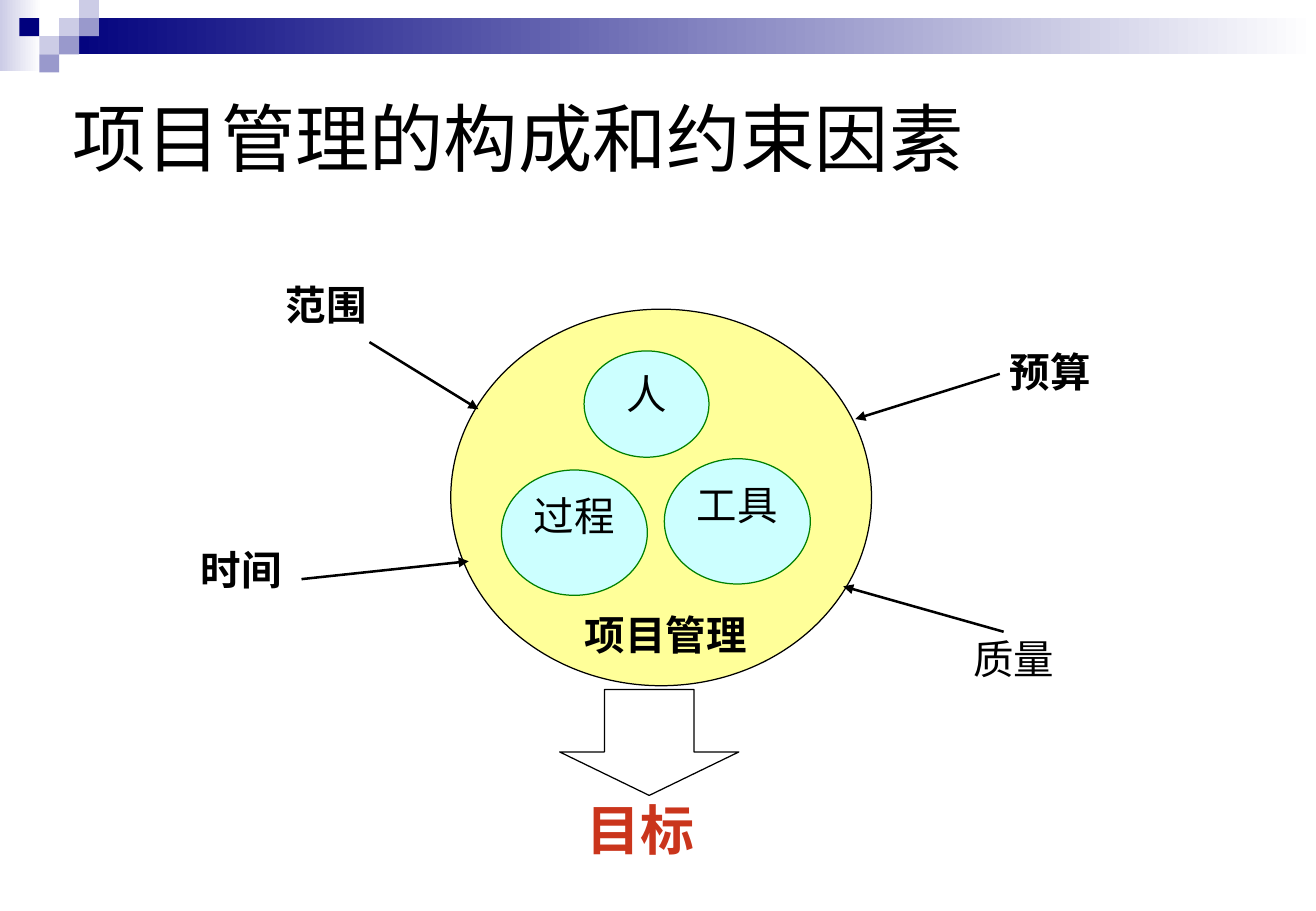
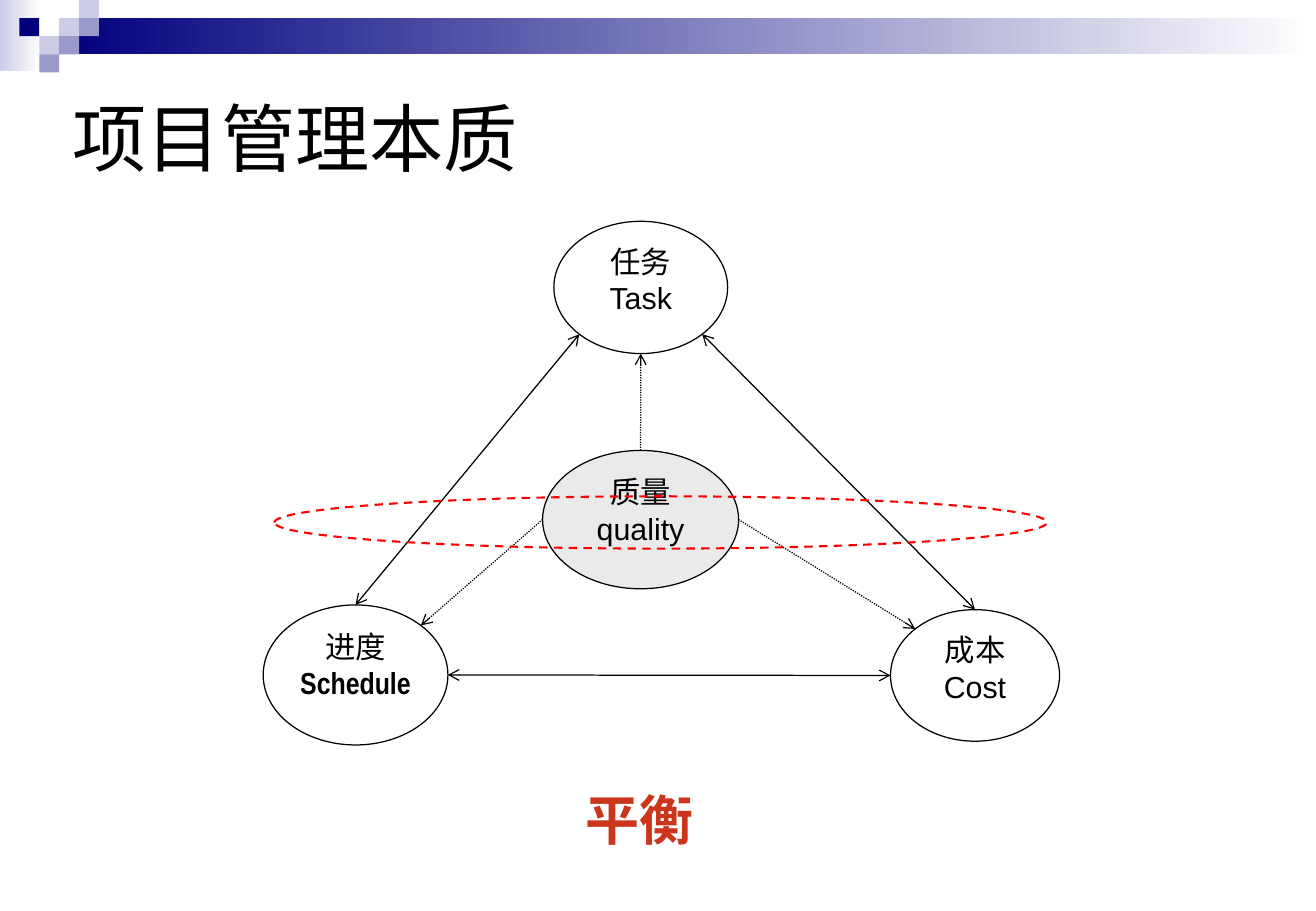
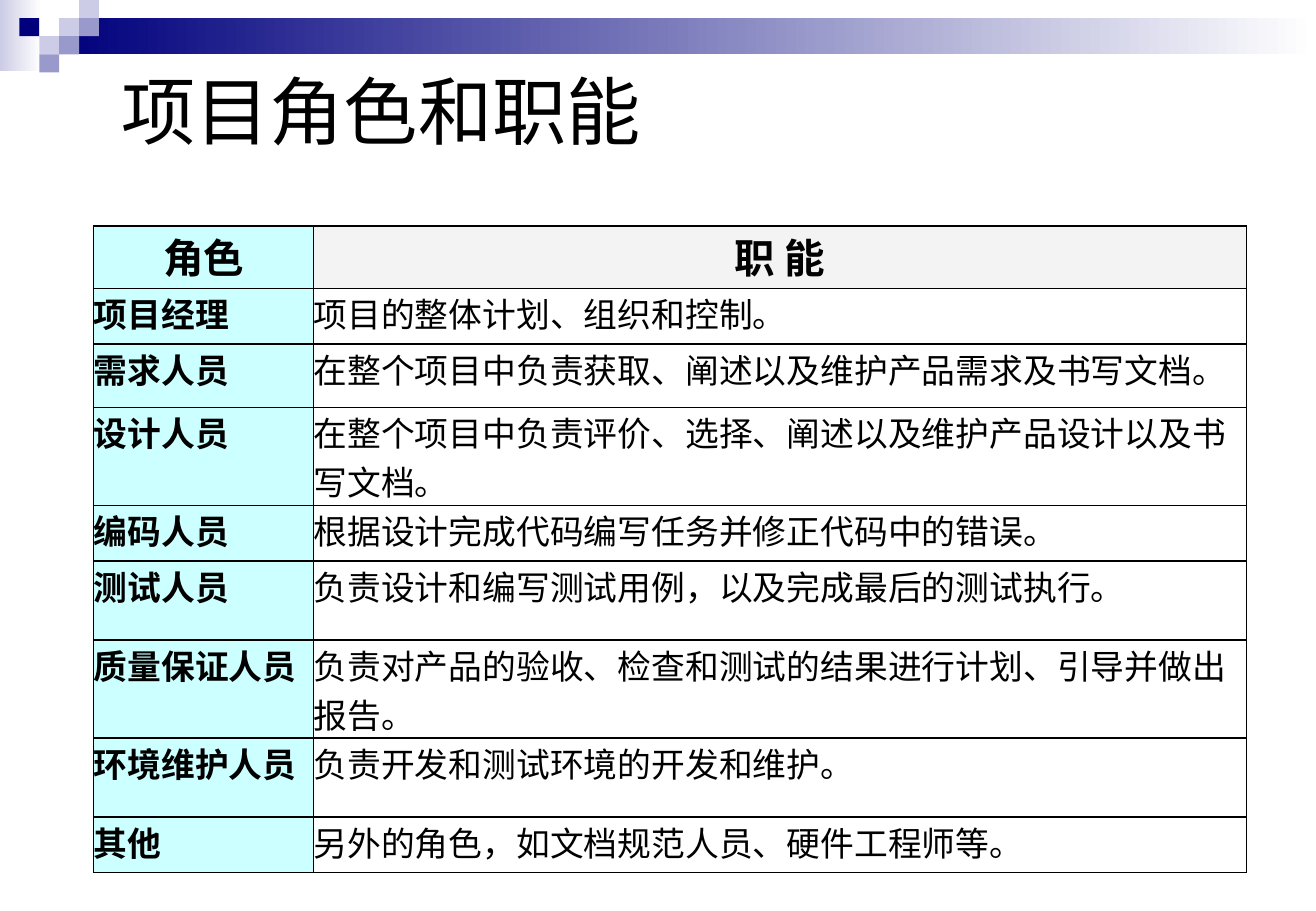
import math
from dataclasses import dataclass
from typing import Any, NamedTuple, Optional

import lxml.etree
import pptx
import pptx.dml.color
import pptx.enum.dml
import pptx.enum.shapes
import pptx.enum.text
import pptx.oxml.ns
import pptx.util

Pt = pptx.util.Pt
qn = pptx.oxml.ns.qn
ShapeKind = pptx.enum.shapes.MSO_SHAPE
Dash = pptx.enum.dml.MSO_LINE
Align = pptx.enum.text.PP_ALIGN
Anchor = pptx.enum.text.MSO_ANCHOR

COLOURS = {
    "black": "000000",
    "white": "FFFFFF",
    "navy": "00007D",
    "periwinkle": "9999CC",
    "lavender": "CCCCE6",
    "yellow": "FFFF99",
    "aqua": "CCFFFF",
    "green": "008000",
    "grey": "EAEAEA",
    "header grey": "F3F3F3",
    "red": "FF0000",
    "brick": "CA351C",
}
SERIF = "Times New Roman"
SANS = "Arial"
NARROW = "Arial Narrow"
CHINESE = "Noto Sans CJK JP"
SLIDE_WIDTH, SLIDE_HEIGHT = 780, 540
TILE_WIDTH, TILE_HEIGHT, TILE_LEFT = 11.8, 10.75, 11.5
LABEL_INSETS = (1.5, 3.6, 1.5, 3.6)


class Box(NamedTuple):
    left: float
    top: float
    width: float
    height: float


class Point(NamedTuple):
    x: float
    y: float


class Run(NamedTuple):
    text: str
    font: str = SERIF
    bold: bool = False


class Tile(NamedTuple):
    column: int
    row: int
    colour: str


class Label(NamedTuple):
    text: str
    box: Box
    bold: bool = True
    size: float = 24
    colour: str = "black"


@dataclass(frozen=True)
class Ellipse:
    box: Box
    fill: Optional[str]
    line: str = "black"
    width: float = 0.75
    dash: Any = None
    paragraphs: tuple[tuple[Run, ...], ...] = ()
    size: float = 18
    insets: tuple[float, float, float, float] = (1.5, 1.5, 1.5, 1.5)

    def rim(self, degrees: float) -> Point:
        """Point on the outline, clockwise from the right."""
        angle = math.radians(degrees)
        box = self.box
        return Point(
            box.left + box.width / 2 * (1 + math.cos(angle)),
            box.top + box.height / 2 * (1 + math.sin(angle)),
        )


@dataclass(frozen=True)
class Arrow:
    start: Point
    end: Point
    width: float = 0.75
    head: Optional[str] = None
    tail: str = "arrow"
    dash: Any = None


class Role(NamedTuple):
    name: str
    duty: str
    height: float


TILES = (
    Tile(2, 1, "lavender"),
    Tile(3, 0, "lavender"),
    Tile(3, 1, "periwinkle"),
    Tile(1, 2, "lavender"),
    Tile(0, 1, "navy"),
    Tile(2, 2, "periwinkle"),
    Tile(1, 3, "periwinkle"),
)

ROLES = (
    Role("项目经理", "项目的整体计划、组织和控制。", 33),
    Role("需求人员", "在整个项目中负责获取、阐述以及维护产品需求及书写文档。", 37.6),
    Role("设计人员", "在整个项目中负责评价、选择、阐述以及维护产品设计以及书写文档。", 58.1),
    Role("编码人员", "根据设计完成代码编写任务并修正代码中的错误。", 33),
    Role("测试人员", "负责设计和编写测试用例，以及完成最后的测试执行。", 46.8),
    Role("质量保证人员", "负责对产品的验收、检查和测试的结果进行计划、引导并做出报告。", 58.1),
    Role("环境维护人员", "负责开发和测试环境的开发和维护。", 46.8),
    Role("其他", "另外的角色，如文档规范人员、硬件工程师等。", 33),
)


def rgb(name: str) -> pptx.dml.color.RGBColor:
    return pptx.dml.color.RGBColor.from_string(COLOURS[name])


def points(values: tuple[float, ...]) -> list[pptx.util.Length]:
    return [Pt(value) for value in values]


def write_text(
    frame: Any,
    paragraphs: tuple[tuple[Run, ...], ...],
    *,
    size: float,
    colour: str = "black",
    align: Any = Align.CENTER,
    anchor: Any = Anchor.TOP,
    insets: Optional[tuple[float, float, float, float]] = None,
    wrap: bool = True,
) -> None:
    frame.word_wrap = wrap
    frame.vertical_anchor = anchor
    if insets is not None:
        (frame.margin_left, frame.margin_top,
         frame.margin_right, frame.margin_bottom) = points(insets)
    for index, runs in enumerate(paragraphs):
        paragraph = frame.add_paragraph() if index else frame.paragraphs[0]
        paragraph.alignment = align
        for source in runs:
            run = paragraph.add_run()
            run.text = source.text
            run.font.name = source.font
            run.font.size = Pt(size)
            run.font.bold = source.bold
            run.font.color.rgb = rgb(colour)
            properties = run._r.get_or_add_rPr()
            lxml.etree.SubElement(properties, qn("a:ea"), typeface=CHINESE)


def add_text(slide: Any, box: Box, run: Run, **style: Any) -> None:
    text_box = slide.shapes.add_textbox(*points(box))
    write_text(text_box.text_frame, ((run,),), **style)


def add_shape(
    slide: Any,
    kind: Any,
    box: Box,
    fill: Optional[str],
    line: Optional[str] = None,
    width: float = 0.75,
    fade: bool = False,
) -> Any:
    """Preset shape, plain or fading to white towards the right."""
    shape = slide.shapes.add_shape(kind, *points(box))
    shape.shadow.inherit = False
    if fill is None:
        shape.fill.background()
    elif fade:
        shape.fill.gradient()
        shape.fill.gradient_angle = 0
        for stop, colour in zip(shape.fill.gradient_stops, (fill, "white")):
            stop.color.rgb = rgb(colour)
    else:
        shape.fill.solid()
        shape.fill.fore_color.rgb = rgb(fill)
    if line is None:
        shape.line.fill.background()
    else:
        shape.line.color.rgb = rgb(line)
        shape.line.width = Pt(width)
    return shape


def add_ellipse(slide: Any, ellipse: Ellipse) -> None:
    shape = add_shape(
        slide, ShapeKind.OVAL, ellipse.box, ellipse.fill, ellipse.line, ellipse.width
    )
    if ellipse.dash is not None:
        shape.line.dash_style = ellipse.dash
    if ellipse.paragraphs:
        write_text(shape.text_frame, ellipse.paragraphs,
                   size=ellipse.size, insets=ellipse.insets)


def add_arrow(slide: Any, arrow: Arrow) -> None:
    connector = slide.shapes.add_connector(
        pptx.enum.shapes.MSO_CONNECTOR.STRAIGHT, *points(arrow.start + arrow.end)
    )
    connector.line.color.rgb = rgb("black")
    connector.line.width = Pt(arrow.width)
    if arrow.dash is not None:
        connector.line.dash_style = arrow.dash
    line = connector.line._get_or_add_ln()
    if arrow.head:
        lxml.etree.SubElement(line, qn("a:headEnd"), type=arrow.head)
    lxml.etree.SubElement(line, qn("a:tailEnd"), type=arrow.tail)
    lxml.etree.SubElement(connector._element.spPr, qn("a:effectLst"))


def add_label(slide: Any, label: Label) -> None:
    add_text(slide, label.box, Run(label.text, bold=label.bold),
             size=label.size, colour=label.colour, insets=LABEL_INSETS)


def add_slide(
    presentation: Any, title: str, title_box: Box = Box(36, 36, 702, 90)
) -> Any:
    """Blank slide with the shared band, tiles and title."""
    slide = presentation.slides.add_slide(presentation.slide_layouts[6])
    band_left = TILE_LEFT + 2 * TILE_WIDTH
    band = Box(band_left, TILE_HEIGHT, SLIDE_WIDTH - band_left, 2 * TILE_HEIGHT)
    add_shape(slide, ShapeKind.RECTANGLE, Box(0, 0, 24.5, 42), "lavender", fade=True)
    add_shape(slide, ShapeKind.RECTANGLE, band, "navy", fade=True)
    for tile in TILES:
        box = Box(TILE_LEFT + tile.column * TILE_WIDTH, tile.row * TILE_HEIGHT,
                  TILE_WIDTH, TILE_HEIGHT)
        add_shape(slide, ShapeKind.RECTANGLE, box, tile.colour)
    add_text(slide, title_box, Run(title, CHINESE), size=44, align=Align.LEFT,
             anchor=Anchor.MIDDLE, insets=(7.2, 3.6, 7.2, 3.6))
    return slide


def add_constraints_slide(presentation: Any) -> None:
    slide = add_slide(presentation, "项目管理的构成和约束因素")
    add_ellipse(slide, Ellipse(Box(267.2, 183.3, 249.4, 223.2), "yellow"))
    parts = (
        ("人", Box(346.2, 208, 74, 63)),
        ("过程", Box(297.2, 278.6, 86.5, 74.3)),
        ("工具", Box(393.8, 271.9, 86.5, 74.3)),
    )
    for text, box in parts:
        add_ellipse(slide, Ellipse(box, "aqua", "green", paragraphs=((Run(text),),),
                                   size=24, insets=(2.2, 1.5, 2.2, 1.5)))
    forces = (
        (Point(219, 202.8), Point(283.6, 242.6)),
        (Point(178.7, 343.3), Point(277.8, 332.7)),
        (Point(592.6, 221.6), Point(507, 248.4)),
        (Point(594.9, 374.5), Point(499.8, 347.6)),
    )
    for start, end in forces:
        add_arrow(slide, Arrow(start, end, width=1.5, tail="triangle"))
    goal_arrow = add_shape(slide, ShapeKind.DOWN_ARROW, Box(331.7, 408.7, 106.2, 62.8),
                           "white", "black")
    goal_arrow.adjustments[0] = 0.5
    goal_arrow.adjustments[1] = 0.41
    labels = (
        Label("项目管理", Box(328.3, 358, 132.5, 48)),
        Label("范围", Box(148.3, 162.7, 90, 47.5)),
        Label("时间", Box(97.9, 319.7, 90, 47.5)),
        Label("预算", Box(577.4, 202.3, 90, 47.5)),
        Label("质量", Box(555.8, 372.2, 90, 47.5), bold=False),
        Label("目标", Box(335, 468.7, 89.3, 53.3), size=32, colour="brick"),
    )
    for label in labels:
        add_label(slide, label)


def add_balance_slide(presentation: Any) -> None:
    slide = add_slide(presentation, "项目管理本质")
    quality = Ellipse(Box(321.6, 267, 116.2, 82), "grey",
                      paragraphs=((Run("质量"),), (Run("quality", SANS),)))
    schedule = Ellipse(Box(156, 358.6, 109.5, 83), "white",
                       paragraphs=((Run("进度"), Run("Schedule", NARROW, True)),),
                       insets=(0, 1.5, 0, 1.5))
    task = Ellipse(Box(328.3, 131.2, 103, 78.4), "white",
                   paragraphs=((Run("任务"),), (Run("Task", SANS),)))
    cost = Ellipse(Box(527.8, 361.4, 100.2, 78), "white",
                   paragraphs=((Run("成本"),), (Run("Cost", SANS),)))
    for ellipse in (quality, schedule, task, cost):
        add_ellipse(slide, ellipse)
    trade_offs = (
        (task.rim(45), cost.rim(270)),
        (task.rim(135), schedule.rim(270)),
        (schedule.rim(0), cost.rim(180)),
    )
    for start, end in trade_offs:
        add_arrow(slide, Arrow(start, end, head="arrow"))
    influences = (
        (quality.rim(180), schedule.rim(315)),
        (quality.rim(0), cost.rim(225)),
        (quality.rim(270), task.rim(90)),
    )
    for start, end in influences:
        add_arrow(slide, Arrow(start, end, dash=Dash.ROUND_DOT))
    add_ellipse(slide, Ellipse(Box(162.6, 294.2, 458, 31), None, "red", 1.25, Dash.DASH))
    add_text(slide, Box(347.2, 466, 65, 39), Run("平衡", SANS, True), size=32,
             colour="brick", align=Align.LEFT, insets=(0, 0, 0, 0), wrap=False)


def fill_cell(cell: Any, run: Run, fill: str, **style: Any) -> None:
    """Write one cell with no margins and a thin black border."""
    cell.margin_left = cell.margin_top = cell.margin_right = cell.margin_bottom = 0
    write_text(cell.text_frame, ((run,),), **style)
    properties = cell._tc.get_or_add_tcPr()
    for side in ("a:lnL", "a:lnR", "a:lnT", "a:lnB"):
        border = lxml.etree.SubElement(properties, qn(side), w=str(int(Pt(1))))
        solid = lxml.etree.SubElement(border, qn("a:solidFill"))
        lxml.etree.SubElement(solid, qn("a:srgbClr"), val=COLOURS["black"])
    cell.fill.solid()
    cell.fill.fore_color.rgb = rgb(fill)


def add_roles_slide(presentation: Any) -> None:
    slide = add_slide(presentation, "项目角色和职能", Box(64.8, 20.2, 534, 90))
    heights = (36.9, *(role.height for role in ROLES))
    widths = (130.4, 552.8)
    box = Box(55.5, 134, sum(widths), sum(heights))
    table = slide.shapes.add_table(len(heights), len(widths), *points(box)).table
    table.first_row = table.horz_banding = False
    for column, width in zip(table.columns, widths):
        column.width = Pt(width)
    for row, height in zip(table.rows, heights):
        row.height = Pt(height)
    for column, (text, fill) in enumerate((("角色", "aqua"), ("职 能", "header grey"))):
        fill_cell(table.cell(0, column), Run(text, bold=True), fill, size=24)
    for row, role in enumerate(ROLES, start=1):
        fill_cell(table.cell(row, 0), Run(role.name, bold=True), "aqua",
                  size=20, align=Align.LEFT)
        fill_cell(table.cell(row, 1), Run(role.duty), "white",
                  size=20, align=Align.LEFT)


def main() -> None:
    presentation = pptx.Presentation()
    presentation.slide_width = Pt(SLIDE_WIDTH)
    presentation.slide_height = Pt(SLIDE_HEIGHT)
    add_constraints_slide(presentation)
    add_balance_slide(presentation)
    add_roles_slide(presentation)
    presentation.save("out.pptx")


if __name__ == "__main__":
    main()
